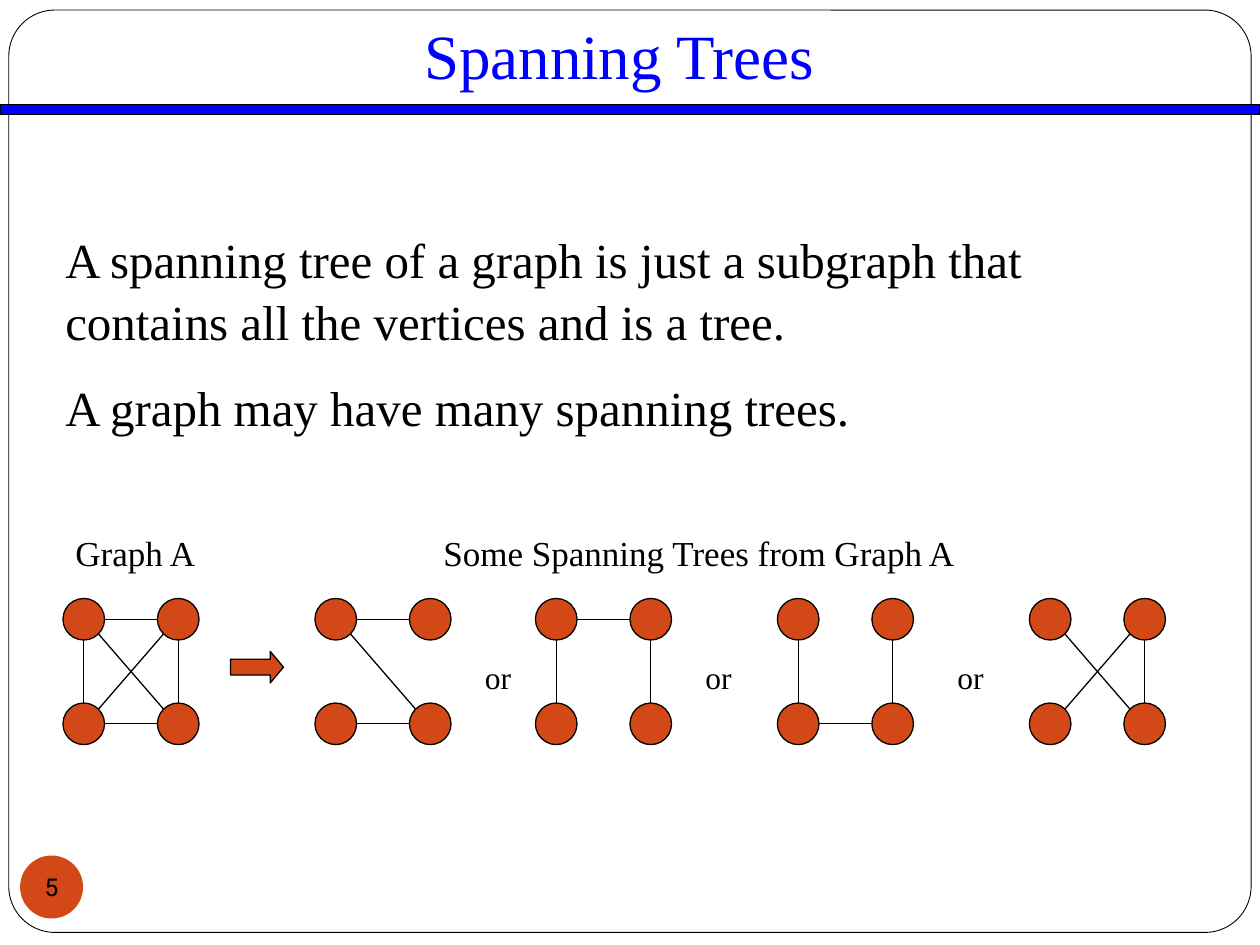
"""Build a slide that shows a graph and some of its spanning trees."""
from lxml import etree
from pptx import Presentation
from pptx import util as u
from pptx.dml.color import RGBColor
from pptx.enum import shapes, text

THEME = {
    "font": "Times New Roman", "number_font": "Roboto",
    "black": "000000", "white": "FFFFFF", "blue": "0000FF", "orange": "D34817",
    "title": 36, "body": 28, "caption": 20, "label": 18, "number": 14,
    "frame_line": 0.5, "line": 0.75,
}
TITLE = "Spanning Trees"
BODY = [
    "A spanning tree of a graph is just a subgraph that contains all the vertices and is a tree.",
    "A graph may have many spanning trees.",
]
CAPTIONS = [("Graph A", 0.5, 1.17), ("Some Spanning Trees from Graph A", 3.42, 5.17)]
GRAPHS = [
    (0.5, ["ab", "ac", "cd", "bd", "bc", "ad"]),
    (2.5, ["ab", "cd", "ad"]),
    (4.25, ["ab", "ac", "bd"]),
    (6.17, ["ac", "cd", "bd"]),
    (8.17, ["bd", "bc", "ad"]),
]
OR_LEFTS = [3.75, 5.5, 7.5]
NUMBER = "5"

GRAPH_TOP, NODE, STEP_X, STEP_Y = 4.75, 0.33, 0.75, 0.83
CELLS = {"a": (0, 0), "b": (1, 0), "c": (0, 1), "d": (1, 1)}
DRAWING_NS = "http://schemas.openxmlformats.org/drawingml/2006/main"
MSO = shapes.MSO_SHAPE


def rgb(name):
    return RGBColor.from_string(THEME[name])


def write(tf, lines, size, color="black", font="font", align=None, **para):
    for i, line in enumerate(lines):
        p = tf.paragraphs[0] if i == 0 else tf.add_paragraph()
        p.alignment = align
        for key, value in para.items():
            if i or key != "space_before":
                setattr(p, key, value)
        r = p.add_run()
        r.text = line
        for key, value in {"name": THEME[font], "size": u.Pt(THEME[size])}.items():
            setattr(r.font, key, value)
        r.font.color.rgb = rgb(color)


def add_text(s, box, lines, size, **style):
    tf = s.shapes.add_textbox(*map(u.Inches, box)).text_frame
    tf.word_wrap = True
    write(tf, lines, size, **style)


def add_shape(s, kind, box, fill, line="line", adjust=()):
    sp = s.shapes.add_shape(kind, *map(u.Inches, box))
    sp.shadow.inherit = False
    sp.fill.solid()
    sp.fill.fore_color.rgb = rgb(fill)
    if line:
        sp.line.color.rgb = rgb("black")
        sp.line.width = u.Pt(THEME[line])
    else:
        sp.line.fill.background()
    for i, value in enumerate(adjust):
        sp.adjustments[i] = value
    return sp


def add_edge(s, start, end):
    dx, dy = ((e > b) - (e < b) for b, e in zip(start, end))
    reach = NODE / 2 / (dx * dx + dy * dy) ** 0.5
    ends = (start[0] + dx * reach, start[1] + dy * reach,
            end[0] - dx * reach, end[1] - dy * reach)
    line = s.shapes.add_connector(shapes.MSO_CONNECTOR.STRAIGHT, *map(u.Inches, ends))
    line.line.color.rgb = rgb("black")
    line.line.width = u.Pt(THEME["line"])
    etree.SubElement(line._element.spPr, f"{{{DRAWING_NS}}}effectLst")


def add_graph(s, left, edges):
    centers = {}
    for name, (col, row) in CELLS.items():
        x, y = left + col * STEP_X, GRAPH_TOP + row * STEP_Y
        add_shape(s, MSO.OVAL, (x, y, NODE, NODE), "orange")
        centers[name] = (x + NODE / 2, y + NODE / 2)
    for start, end in edges:
        add_edge(s, centers[start], centers[end])


prs = Presentation()
prs.slide_width, prs.slide_height = u.Inches(10), u.Inches(7.5)
s = prs.slides.add_slide(prs.slide_layouts[6])

add_shape(s, MSO.ROUNDED_RECTANGLE, (0.07, 0.08, 9.86, 7.32), "white", "frame_line", [0.05])
add_text(s, (0.42, 1.75, 9.17, 1.74), BODY, "body", line_spacing=1.05, space_before=u.Pt(14))
for left, edges in GRAPHS:
    add_graph(s, left, edges)
add_shape(s, MSO.RIGHT_ARROW, (1.83, 5.17, 0.42, 0.25), "orange", adjust=[0.5, 0.42])
for left in OR_LEFTS:
    add_text(s, (left, 5.17, 0.42, 0.4), ["or"], "label")
for caption, left, width in CAPTIONS:
    add_text(s, (left, 4.17, width, 0.43), [caption], "caption")
add_text(s, (3.25, 0.08, 3.33, 0.7), [TITLE], "title", color="blue", align=text.PP_ALIGN.CENTER)
add_shape(s, MSO.RECTANGLE, (0, 0.83, 10, 0.08), "blue")

badge = add_shape(s, MSO.OVAL, (0.16, 6.79, 0.5, 0.5), "orange", line=None)
tf = badge.text_frame
for key in ("margin_left", "margin_top", "margin_right", "margin_bottom"):
    setattr(tf, key, 0)
tf.word_wrap = False
tf.vertical_anchor = text.MSO_ANCHOR.MIDDLE
write(tf, [NUMBER], "number", font="number_font", align=text.PP_ALIGN.CENTER)

prs.save("out.pptx")
